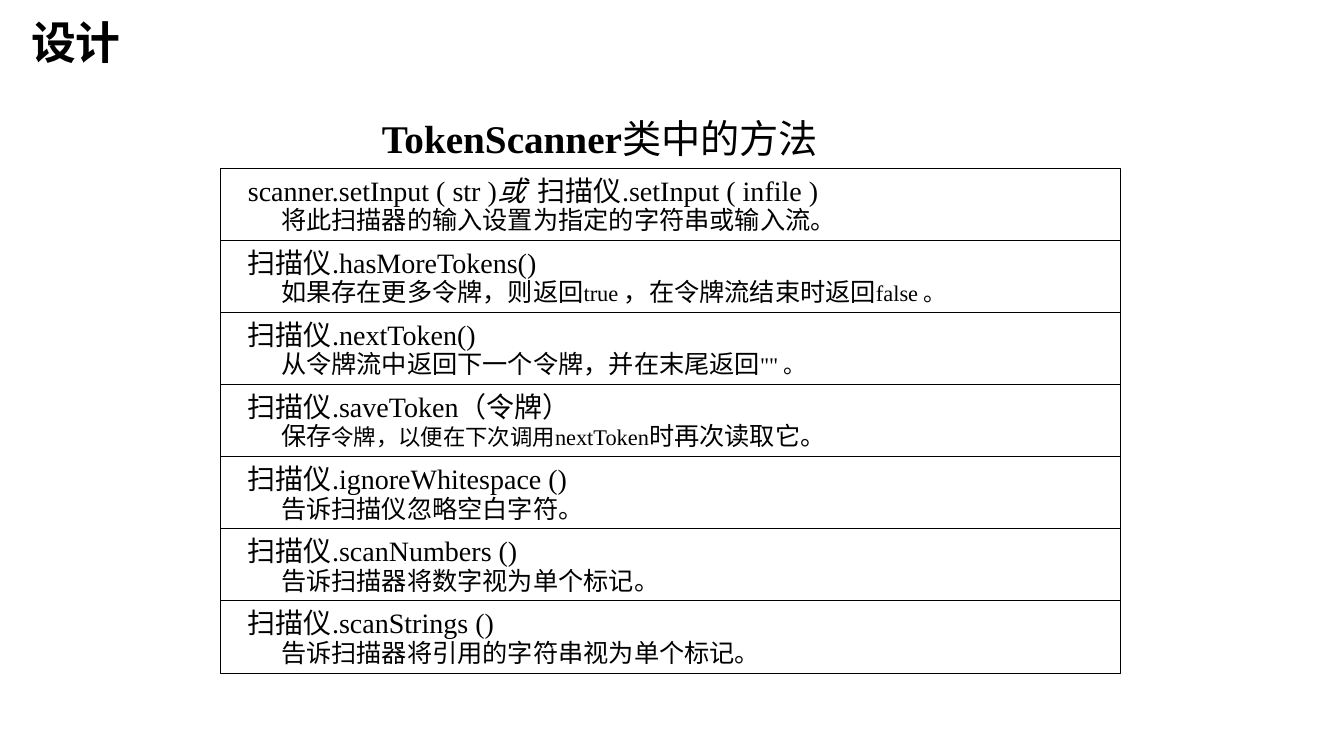
"""Build a slide that lists the methods of the TokenScanner class."""
import pptx
import pptx.dml.color
import pptx.enum.shapes
import pptx.enum.text
import pptx.util
from dataclasses import dataclass

Inches = pptx.util.Inches
Anchor = pptx.enum.text.MSO_ANCHOR


@dataclass(frozen=True)
class Theme:
    font: str = "Times New Roman"
    ink: str = "000000"
    paper: str = "FFFFFF"
    head: int = 32
    title: int = 28
    call: int = 20
    note: int = 18
    small: int = 16
    line: float = 0.75


theme = Theme()
SMALL = {"size": theme.small}

HEAD = "设计"
TITLE = [("TokenScanner", {"bold": True}), ("类中的方法", {})]
ROWS = [
    ([("scanner.setInput ( str )", {}), ("或  ", {"italic": True}),
      ("扫描仪.setInput ( infile )", {})],
     "将此扫描器的输入设置为指定的字符串或输入流。"),
    ("扫描仪.hasMoreTokens()",
     [("如果存在更多令牌，则返回", {}), ("true ", SMALL),
      ("，在令牌流结束时返回", {}), ("false 。", SMALL)]),
    ("扫描仪.nextToken()",
     [("从令牌流中返回下一个令牌，并在末尾返回", {}), ('"" 。', SMALL)]),
    ("扫描仪.saveToken（令牌）",
     [("保存", {}), ("令牌，以便在下次调用nextToken", SMALL),
      ("时再次读取它。", {})]),
    ("扫描仪.ignoreWhitespace ()", "告诉扫描仪忽略空白字符。"),
    ("扫描仪.scanNumbers ()", "告诉扫描器将数字视为单个标记。"),
    ("扫描仪.scanStrings ()", "告诉扫描器将引用的字符串视为单个标记。"),
]

LEFT, TOP, WIDE, HIGH = 2.19, 1.67, 8.92, 0.72
STEP = 0.715
CALL = (0.17, 0, 8.58, 0.43)
NOTE = (0.5, 0.31, 8.33, 0.4)


def color(code):
    """Turn a hex code into a colour."""
    return pptx.dml.color.RGBColor.from_string(code)


def write(shapes, text, box, size, bold=False, anchor=Anchor.TOP,
          wrap=True, space=1.0):
    """Add a text box; text is a string or a list of (words, format) runs."""
    frame = shapes.add_textbox(*map(Inches, box)).text_frame
    frame.word_wrap = wrap
    frame.vertical_anchor = anchor
    line = frame.paragraphs[0]
    line.line_spacing = space
    for words, form in [(text, {})] if isinstance(text, str) else text:
        run = line.add_run()
        run.text = words
        run.font.name = theme.font
        run.font.size = pptx.util.Pt(form.get("size", size))
        run.font.bold = form.get("bold", bold)
        run.font.italic = form.get("italic", False)
        run.font.color.rgb = color(theme.ink)


def frame_row(shapes, top):
    """Draw the outlined box of one method."""
    rect = shapes.add_shape(pptx.enum.shapes.MSO_SHAPE.RECTANGLE,
                            *map(Inches, (LEFT, top, WIDE, HIGH)))
    rect.shadow.inherit = False
    rect.fill.solid()
    rect.fill.fore_color.rgb = color(theme.paper)
    rect.line.color.rgb = color(theme.ink)
    rect.line.width = pptx.util.Pt(theme.line)


def main():
    """Lay out the slide and save it."""
    deck = pptx.Presentation()
    deck.slide_width, deck.slide_height = Inches(13.33), Inches(7.5)
    slide = deck.slides.add_slide(deck.slide_layouts[6])
    for i, (call, note) in enumerate(ROWS):
        top = TOP + i * STEP
        group = slide.shapes.add_group_shape().shapes
        frame_row(group, top)
        for text, spot, size in ((call, CALL, theme.call),
                                 (note, NOTE, theme.note)):
            x, y, wide, high = spot
            write(group, text, (LEFT + x, top + y, wide, high), size)
    write(slide.shapes, HEAD, (0.21, 0.1, 1.5, 0.64), theme.head,
          bold=True, wrap=False)
    write(slide.shapes, TITLE, (3.69, 0.77, 5.96, 1.25), theme.title,
          anchor=Anchor.MIDDLE, space=0.9)
    deck.save("out.pptx")


if __name__ == "__main__":
    main()
